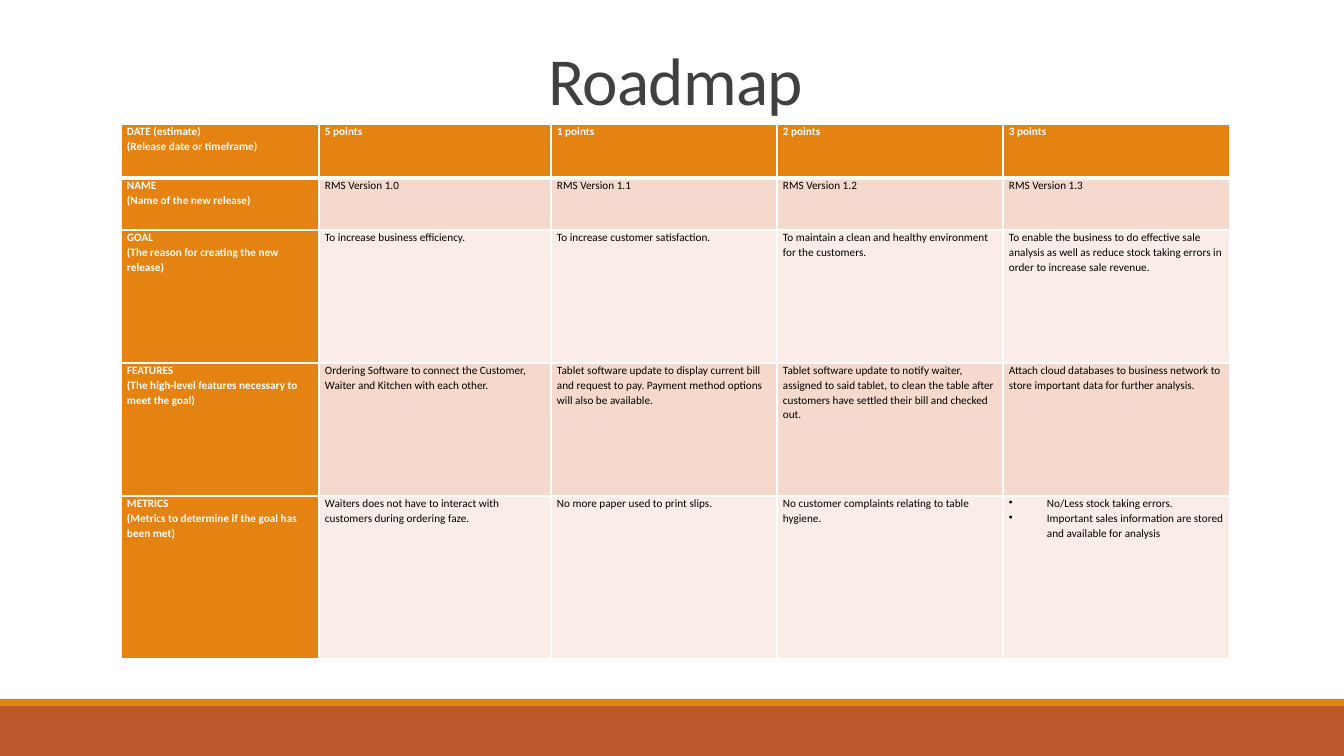
from pptx import Presentation
from pptx.dml.color import RGBColor
from pptx.enum.shapes import MSO_SHAPE
from pptx.enum.text import MSO_ANCHOR, PP_ALIGN
from pptx.oxml.ns import qn
from pptx.util import Emu, Pt
from lxml import etree

RECT = MSO_SHAPE.RECTANGLE
TOP, BOTTOM = MSO_ANCHOR.TOP, MSO_ANCHOR.BOTTOM
LEFT, CENTER = PP_ALIGN.LEFT, PP_ALIGN.CENTER

# Content: each cell is a list of paragraphs
TITLE = "Roadmap"
ROWS = [
    [["DATE (estimate)", "(Release date or timeframe)"],
     ["5 points"], ["1 points"], ["2 points"], ["3 points"]],
    [["NAME", "(Name of the new release)"],
     ["RMS Version 1.0"], ["RMS Version 1.1"],
     ["RMS Version 1.2"], ["RMS Version 1.3"]],
    [["GOAL", "(The reason for creating the new release)"],
     ["To increase business efficiency."],
     ["To increase customer satisfaction."],
     ["To maintain a clean and healthy environment for the customers."],
     ["To enable the business to do effective sale analysis as well as "
      "reduce stock taking errors in order to increase sale revenue."]],
    [["FEATURES", "(The high-level features necessary to meet the goal)"],
     ["Ordering Software to connect the Customer, Waiter and Kitchen "
      "with each other."],
     ["Tablet software update to display current bill and request to pay. "
      "Payment method options will also be available."],
     ["Tablet software update to notify waiter, assigned to said tablet, to "
      "clean the table after customers have settled their bill and "
      "checked out."],
     ["Attach cloud databases to business network to store important data "
      "for further analysis."]],
    [["METRICS", "(Metrics to determine if the goal has been met)"],
     ["Waiters does not have to interact with customers during ordering faze."],
     ["No more paper used to print slips."],
     ["No customer complaints relating to table hygiene."],
     ["No/Less stock taking errors.",
      "Important sales information are stored and available for analysis"]],
]

# Layout in px
SLIDE = (1344, 756)
HEAD = (121, 31, 1109, 93)
GRID = (121, 124)
COLS = [198, 232, 226, 226, 227]
HIGH = [54, 52, 133, 133, 163]
BANDS = [(0, 706, 1344, 50, "rust"), (0, 699, 1344, 7, "orange")]
INSET, INDENT = 6, 38

THEME = {
    "font": "Calibri", "title": 48, "cell": 8, "thin": 1, "thick": 3,
    "orange": "E48312", "rust": "BD582C", "gray": "404040",
    "white": "FFFFFF", "black": "000000",
    "bands": ["FAEDE7", "F5D9CC"],
}


def px(n):
    return Emu(round(n * 914400 / 100.8))


def write(frame, lines, size, color, bold=False, align=LEFT, space=1.07,
          track=0, bullet=False):
    frame.word_wrap = True
    for i, line in enumerate(lines):
        para = frame.paragraphs[0] if i == 0 else frame.add_paragraph()
        if bullet:
            props = para._p.get_or_add_pPr()
            props.set("marL", str(px(INDENT)))
            props.set("indent", str(-px(INDENT)))
            etree.SubElement(props, qn("a:buChar")).set("char", "•")
        para.alignment, para.line_spacing = align, space
        run = para.add_run()
        run.text = line
        font = run.font
        font.name, font.size, font.bold = THEME["font"], Pt(size), bold
        font.color.rgb = RGBColor.from_string(color)
        if track:
            run._r.get_or_add_rPr().set("spc", str(track))


def border(cell, side, width):
    props = cell._tc.get_or_add_tcPr()
    line = etree.SubElement(props, qn("a:ln" + side), w=str(Pt(width)))
    fill = etree.SubElement(line, qn("a:solidFill"))
    etree.SubElement(fill, qn("a:srgbClr"), val=THEME["white"])


def paint(fill, color):
    fill.solid()
    fill.fore_color.rgb = RGBColor.from_string(color)


def add_bands(slide):
    for *box, color in BANDS:
        band = slide.shapes.add_shape(RECT, *map(px, box))
        band.shadow.inherit = False
        paint(band.fill, THEME[color])
        band.line.fill.background()


def add_title(slide):
    frame = slide.shapes.add_textbox(*map(px, HEAD)).text_frame
    frame.vertical_anchor = BOTTOM
    write(frame, [TITLE], THEME["title"], THEME["gray"], align=CENTER,
          space=0.85, track=-50)


def add_grid(slide):
    size = (sum(COLS), sum(HIGH))
    table = slide.shapes.add_table(
        len(ROWS), len(COLS), *map(px, GRID + size)).table
    for col, width in zip(table.columns, COLS):
        col.width = px(width)
    for row, height in zip(table.rows, HIGH):
        row.height = px(height)
    for r, row in enumerate(ROWS):
        for c, lines in enumerate(row):
            cell = table.cell(r, c)
            label = r == 0 or c == 0
            # The rule under the header row is thicker
            edges = {"L": False, "R": False, "T": r == 1, "B": r == 0}
            for side, heavy in edges.items():
                border(cell, side, THEME["thick" if heavy else "thin"])
            paint(cell.fill, THEME["orange"] if label
                  else THEME["bands"][r % 2])
            cell.margin_left = cell.margin_right = px(INSET)
            cell.margin_top = cell.margin_bottom = 0
            cell.vertical_anchor = TOP
            write(cell.text_frame, lines, THEME["cell"],
                  THEME["white" if label else "black"], bold=label,
                  bullet=not label and len(lines) > 1)


def main():
    deck = Presentation()
    deck.slide_width, deck.slide_height = map(px, SLIDE)
    slide = deck.slides.add_slide(deck.slide_layouts[6])
    add_bands(slide)
    add_title(slide)
    add_grid(slide)
    deck.save("out.pptx")


if __name__ == "__main__":
    main()
